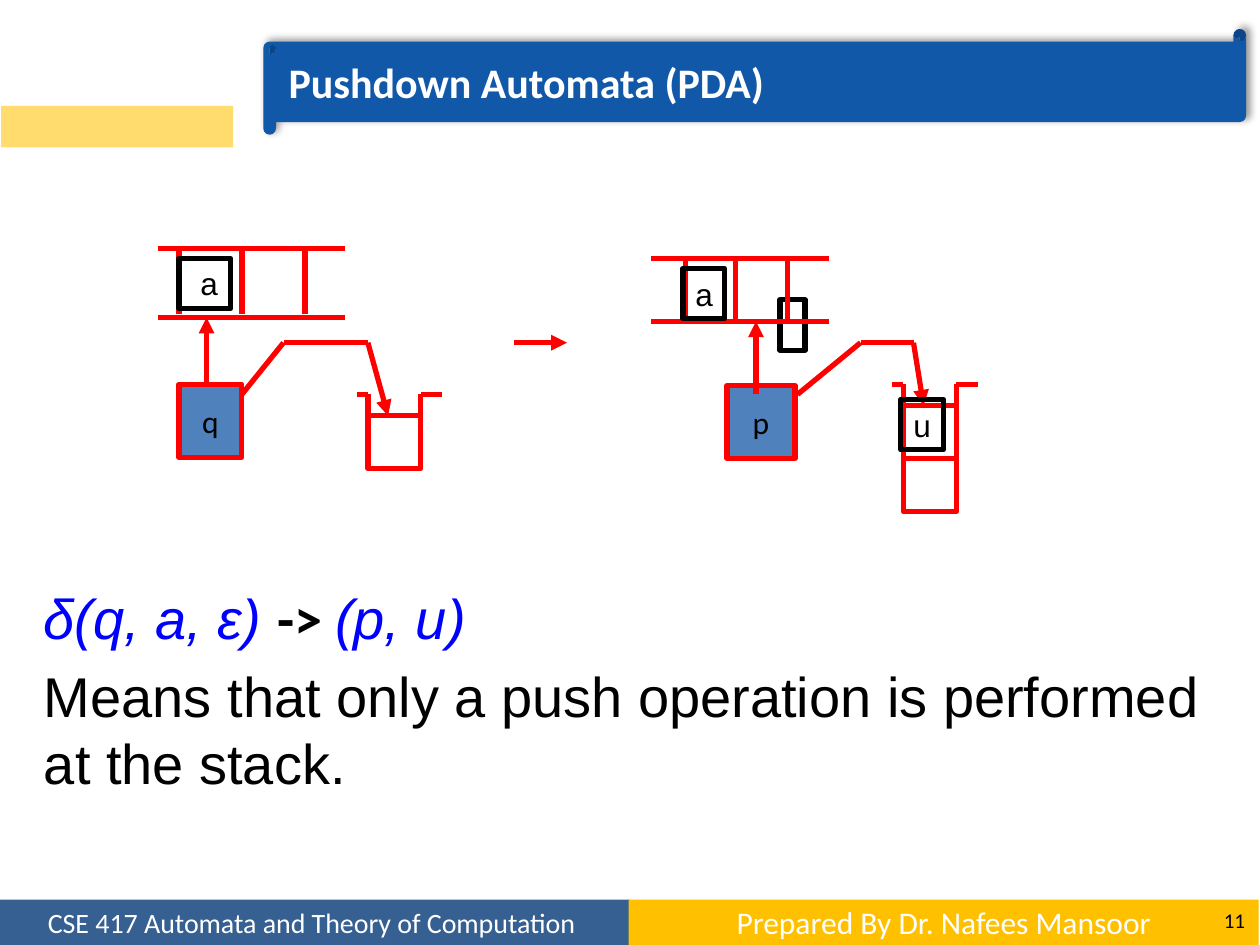
from dataclasses import dataclass
from itertools import pairwise

from lxml.etree import SubElement
from pptx import Presentation
from pptx.dml.color import RGBColor
from pptx.enum.shapes import MSO_CONNECTOR, MSO_SHAPE
from pptx.enum.text import MSO_ANCHOR, PP_ALIGN
from pptx.oxml import parse_xml
from pptx.oxml.ns import nsdecls, qn
from pptx.util import Inches, Pt

HUES = {
    "red": "FF0000", "black": "000000", "white": "FFFFFF", "cell": "4F81BD",
    "navy": "366092", "gold": "FFC000", "pale": "FFDC6D", "title": "1158A9",
    "blue": "0000FF",
}
SHADE = (
    f'<a:effectLst {nsdecls("a")}><a:outerShdw blurRad="{Pt(4)}" dist="{Pt(3)}" '
    'dir="18900000" algn="bl" rotWithShape="0"><a:srgbClr val="000000">'
    '<a:alpha val="40000"/></a:srgbClr></a:outerShdw></a:effectLst>'
)
SIDE = 0.42
Point = tuple[float, float]


@dataclass
class Tape:
    left: float
    right: float
    top: float
    base: float
    bars: list[float]
    drop: float  # where the cell bars end


@dataclass
class Stack:
    left: float
    top: float
    cells: int


@dataclass
class Machine:
    tape: Tape
    stack: Stack
    head: list[Point]
    arm: list[Point]


@dataclass
class Box:
    area: tuple[float, float, float, float]
    text: str = ""
    fill: str = ""
    line: str = ""
    size: int = 18
    face: str = "Calibri"
    hue: str = "black"
    align: PP_ALIGN = PP_ALIGN.CENTER
    anchor: MSO_ANCHOR = MSO_ANCHOR.MIDDLE
    inset: float = 0.1


def color(name: str) -> RGBColor:
    return RGBColor.from_string(HUES[name])


def style(font, size: int, face: str, hue: str) -> None:
    font.size, font.name = Pt(size), face
    font.color.rgb = color(hue)


def draw_box(slide, box: Box, kind=MSO_SHAPE.RECTANGLE):
    shape = slide.shapes.add_shape(kind, *map(Inches, box.area))
    shape.shadow.inherit = False
    if box.fill:
        shape.fill.solid()
        shape.fill.fore_color.rgb = color(box.fill)
    else:
        shape.fill.background()
    if box.line:
        shape.line.color.rgb = color(box.line)
        shape.line.width = Pt(3)
    else:
        shape.line.fill.background()
    if box.text:
        frame = shape.text_frame
        frame.word_wrap = True
        frame.vertical_anchor = box.anchor
        frame.margin_left = Inches(box.inset)
        para = frame.paragraphs[0]
        para.text, para.alignment = box.text, box.align
        style(para.font, box.size, box.face, box.hue)
    return shape


def draw_route(slide, points: list[Point], arrow: bool = False) -> None:
    """Join the points with red lines, with an arrowhead at the end if asked."""
    for start, end in pairwise(points):
        line = slide.shapes.add_connector(
            MSO_CONNECTOR.STRAIGHT, *map(Inches, start + end))
        line.line.color.rgb = color("red")
        line.line.width = Pt(3)
        props = line._element.spPr
        if arrow and end == points[-1]:
            SubElement(props.find(qn("a:ln")), qn("a:tailEnd"), type="triangle")
        SubElement(props, qn("a:effectLst"))


def draw_tape(slide, tape: Tape) -> None:
    for y in (tape.top, tape.base):
        draw_route(slide, [(tape.left, y), (tape.right, y)])
    for x in tape.bars:
        draw_route(slide, [(x, tape.top), (x, tape.drop)])


def draw_stack(slide, stack: Stack) -> None:
    left, right = stack.left, stack.left + SIDE
    top, rim = stack.top, stack.top - 0.17
    for row in range(stack.cells):
        draw_box(slide, Box((left, top + row * SIDE, SIDE, SIDE), line="red"))
    draw_route(slide, [(left, top), (left, rim), (left - 0.09, rim)])
    draw_route(slide, [(right, top), (right, rim), (right + 0.17, rim)])


def draw_machine(slide, unit: Machine) -> None:
    draw_tape(slide, unit.tape)
    draw_stack(slide, unit.stack)
    draw_route(slide, unit.head, arrow=True)
    draw_route(slide, unit.arm[:-1])
    draw_route(slide, unit.arm[-2:], arrow=True)


def letter(area, text: str, inset: float = 0.1) -> Box:
    return Box(area, text, line="black", face="Arial", align=PP_ALIGN.LEFT,
               anchor=MSO_ANCHOR.TOP, inset=inset)


def draw_title(slide) -> None:
    scroll = draw_box(slide, Box((2.09, 0.23, 7.8, 0.84), fill="title"),
                      MSO_SHAPE.HORIZONTAL_SCROLL)
    scroll.adjustments[0] = 0.12
    props = scroll._element.spPr
    props.replace(props.find(qn("a:effectLst")), parse_xml(SHADE))

    title = slide.shapes.title
    title.left, title.top, title.width, title.height = map(
        Inches, (2.19, 0.33, 7.6, 0.64))
    title.text_frame.vertical_anchor = MSO_ANCHOR.MIDDLE
    para = title.text_frame.paragraphs[0]
    para.text, para.alignment = "Pushdown Automata (PDA)", PP_ALIGN.LEFT
    style(para.font, 24, "Calibri", "white")
    para.font.bold = True
    slide.shapes._spTree.append(title._element)


def draw_rule(slide) -> None:
    """Write the transition and what it means."""
    area = slide.shapes.add_textbox(*map(Inches, (0.25, 4.58, 9.58, 1.42)))
    frame = area.text_frame
    frame.word_wrap = True
    first, last = frame.paragraphs[0], frame.add_paragraph()
    for text, math in (("δ(q, a, ε) ", True), ("-> ", False), ("(p, u)", True)):
        run = first.add_run()
        run.text = text
        style(run.font, 32, "Arial" if math else "Calibri",
              "blue" if math else "black")
        run.font.italic, run.font.bold = math, not math
    last.text = "Means that only a push operation is performed at the stack."
    last.space_before = Pt(6.4)
    style(last.font, 32, "Arial", "black")


MACHINES = [
    Machine(Tape(1.25, 2.74, 1.97, 2.52, [1.42, 1.92, 2.42], 2.49),
            Stack(2.92, 3.3, 1), [(1.64, 3.04), (1.64, 2.52)],
            [(1.92, 3.13), (2.25, 2.72), (2.92, 2.72), (3.08, 3.3)]),
    Machine(Tape(5.17, 6.58, 2.05, 2.55, [5.44, 5.84, 6.25], 2.55),
            Stack(7.17, 3.22, 2), [(6, 3.13), (6, 2.55)],
            [(6.33, 3.13), (6.83, 2.72), (7.25, 2.72), (7.33, 3.22)]),
]
BOXES = [
    Box((0, 7.14, 5, 0.36), "CSE 417 Automata and Theory of Computation ",
        "navy", size=16, hue="white"),
    Box((4.99, 7.14, 5, 0.36), "Prepared By Dr. Nafees Mansoor", "gold",
        hue="white"),
    Box((9.33, 7.1, 0.65, 0.4), "11", size=12, align=PP_ALIGN.RIGHT),
    Box((0.01, 0.84, 1.84, 0.33), fill="pale"),
    Box((6.19, 2.38, 0.2, 0.4), line="black"),
    Box((1.42, 3.05, 0.5, 0.58), "q", "cell", "red"),
    Box((5.77, 3.06, 0.54, 0.58), "p", "cell", "red"),
]
LETTERS = [
    letter((1.42, 2.05, 0.41, 0.4), "a", 0.17),
    letter((5.42, 2.13, 0.33, 0.4), "a"),
    letter((7.15, 3.17, 0.34, 0.4), "u"),
]


def main() -> None:
    deck = Presentation()
    deck.slide_width, deck.slide_height = Inches(10), Inches(7.5)
    slide = deck.slides.add_slide(deck.slide_layouts[5])
    for box in BOXES:
        draw_box(slide, box)
    draw_rule(slide)
    for unit in MACHINES:
        draw_machine(slide, unit)
    draw_route(slide, [(4.08, 2.72), (4.5, 2.72)], arrow=True)
    for box in LETTERS:
        draw_box(slide, box)
    draw_title(slide)
    deck.save("out.pptx")


if __name__ == "__main__":
    main()
